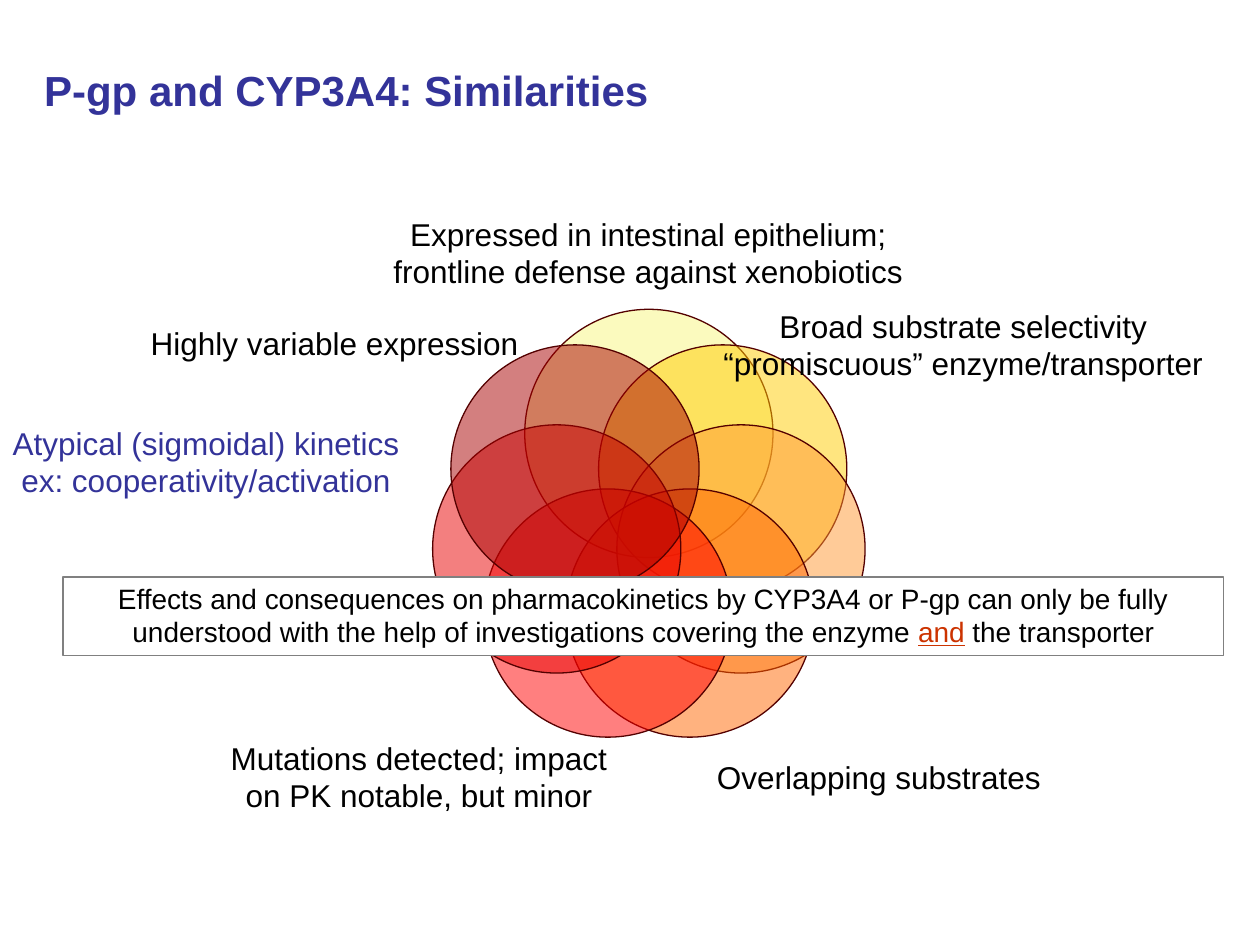
"""Build the slide on similarities between P-gp and CYP3A4."""
from math import cos, pi, sin

from lxml import etree
from pptx import Presentation
from pptx.dml.color import RGBColor
from pptx.enum.shapes import MSO_SHAPE
from pptx.enum.text import MSO_ANCHOR, PP_ALIGN
from pptx.oxml.ns import qn
from pptx.util import Inches, Pt

OVAL, RECTANGLE = MSO_SHAPE.OVAL, MSO_SHAPE.RECTANGLE
TOP, MIDDLE = MSO_ANCHOR.TOP, MSO_ANCHOR.MIDDLE
LEFT, CENTER = PP_ALIGN.LEFT, PP_ALIGN.CENTER

FONT = "Arial"
BLACK, WHITE, BLUE, RED = "000000", "FFFFFF", "333399", "CC3300"
GREY, MAROON = "808080", "540000"
FLOWER_X, FLOWER_Y, ORBIT = 5.15, 4.19, 0.75
DIAMETER = 1.97
LABEL_HEIGHT = 0.49

PETALS = [
    ("F9F67F", (4.16, 1.77), "Expressed in intestinal epithelium;\nfrontline defense against xenobiotics"),
    ("FFCC00", (6.66, 2.5), "Broad substrate selectivity\n“promiscuous” enzyme/transporter"),
    ("FF9933", None, None),
    ("FF6600", (5.99, 5.93), "Overlapping substrates"),
    ("FF0000", (2.34, 5.93), "Mutations detected; impact\non PK notable, but minor"),
    ("E80000", None, None),
    ("A80000", (1.67, 2.49), "Highly variable expression"),
]
BANNER = [
    ("Effects and consequences on pharmacokinetics by CYP3A4 or P-gp can only be fully "
     "understood with the help of investigations covering the enzyme ", {}),
    ("and", {"colour": RED, "underline": True}),
    (" the transporter", {}),
]


def rgb(colour):
    """Turn a hex string into a colour."""
    return RGBColor.from_string(colour)


def add_span(para, text, size=18, colour=BLACK, bold=False, underline=False):
    """Append a formatted run to a paragraph."""
    span = para.add_run()
    span.text = text
    font = span.font
    font.name, font.size, font.bold, font.underline = FONT, Pt(size), bold, underline
    font.color.rgb = rgb(colour)


def write_text(box, text, align=CENTER, anchor=MIDDLE, wrap=False, spacing=0.98, **style):
    """Fill a box with one paragraph per line of text."""
    frame = box.text_frame
    frame.word_wrap = wrap
    frame.vertical_anchor = anchor
    for index, line in enumerate(text.split("\n")):
        para = frame.add_paragraph() if index else frame.paragraphs[0]
        para.alignment = align
        para.line_spacing = spacing
        if line:
            add_span(para, line, **style)


def add_panel(page, kind, left, top, width, height, fill=None, line=None):
    """Add a flat preset shape, with fill and thin outline where given."""
    panel = page.shapes.add_shape(kind, Inches(left), Inches(top), Inches(width), Inches(height))
    panel.shadow.inherit = False
    if fill:
        panel.fill.solid()
        panel.fill.fore_color.rgb = rgb(fill)
    else:
        panel.fill.background()
    if line:
        panel.line.color.rgb = rgb(line)
        panel.line.width = Pt(0.75)
    else:
        panel.line.fill.background()
    return panel


def add_label(page, text, left, top, width, height, **style):
    """Add an unframed label whose lines may run past its sides."""
    label = add_panel(page, RECTANGLE, left, top, width, height)
    write_text(label, text, **style)


def add_petal(page, index, colour):
    """Add a half-transparent circle at its place around the flower."""
    angle = 2 * pi * index / len(PETALS)
    left = FLOWER_X + ORBIT * sin(angle) - DIAMETER / 2
    top = FLOWER_Y - ORBIT * cos(angle) - DIAMETER / 2
    petal = add_panel(page, OVAL, left, top, DIAMETER, DIAMETER, colour, MAROON)
    fill = petal.fill.fore_color._xFill.find(qn("a:srgbClr"))
    etree.SubElement(fill, qn("a:alpha"), val="50000")


def add_title(page, text):
    """Place and format the title placeholder."""
    title = page.shapes.title
    title.left, title.top, title.width, title.height = map(Inches, (0.25, 0.42, 7.08, 0.58))
    write_text(title, text, align=LEFT, wrap=True, spacing=1.0, size=24, colour=BLUE, bold=True)


def add_banner(page):
    """Add the conclusion that crosses the flower."""
    banner = add_panel(page, RECTANGLE, 0.5, 4.58, 9.21, 0.62, WHITE, GREY)
    write_text(banner, "", anchor=TOP, wrap=True)
    for text, style in BANNER:
        add_span(banner.text_frame.paragraphs[0], text, size=16, **style)


def main():
    """Build and save the deck."""
    deck = Presentation()
    deck.slide_width, deck.slide_height = Inches(10), Inches(7.5)
    page = deck.slides.add_slide(deck.slide_layouts[5])
    add_title(page, "P-gp and CYP3A4: Similarities")
    for index, (colour, place, text) in enumerate(PETALS):
        add_petal(page, index, colour)
        if text:
            add_label(page, text, *place, DIAMETER, LABEL_HEIGHT)
    add_banner(page)
    add_label(page, "Atypical (sigmoidal) kinetics\nex: cooperativity/activation",
              0, 3.33, 3.27, 0.69, anchor=TOP, colour=BLUE)
    deck.save("out.pptx")


if __name__ == "__main__":
    main()
